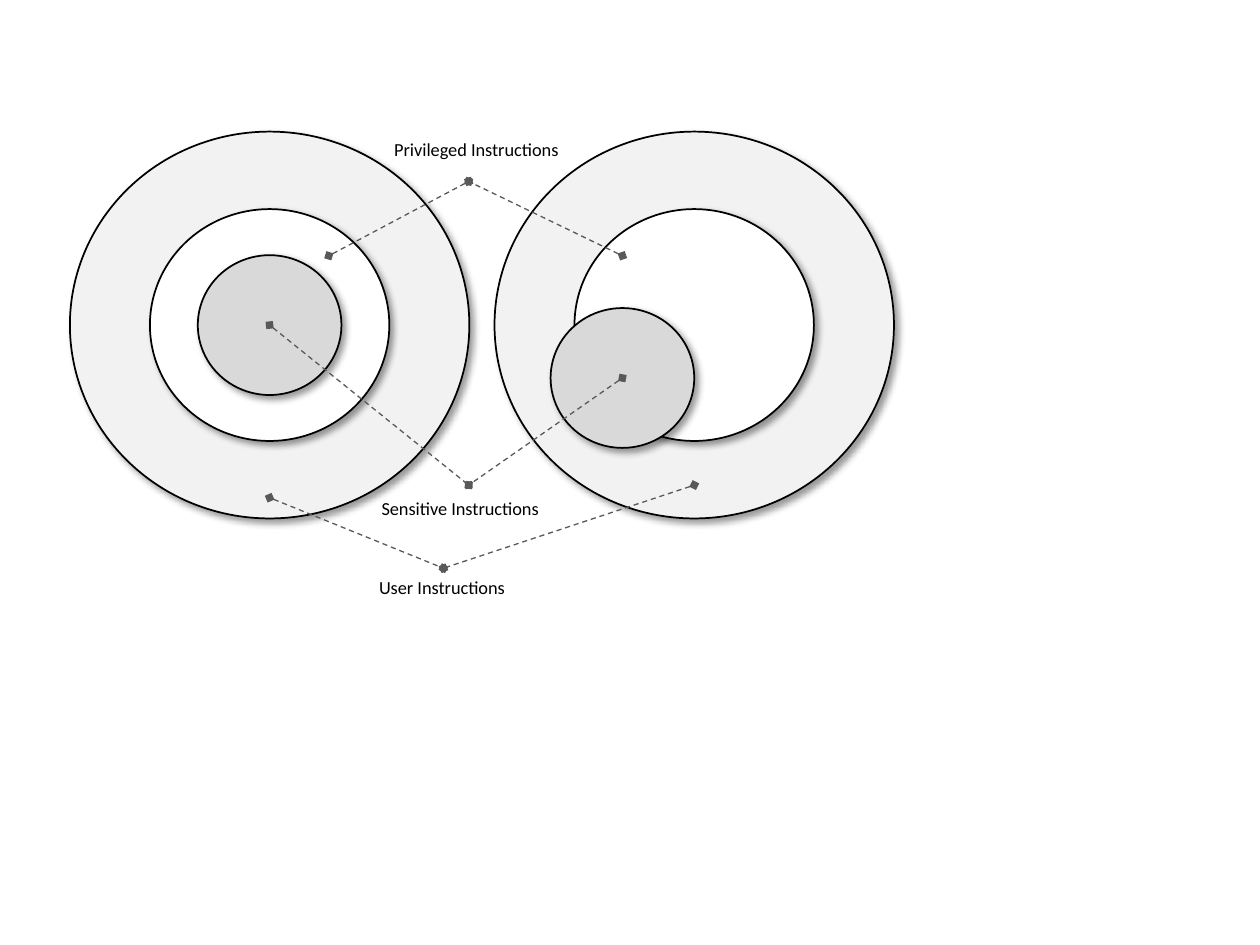
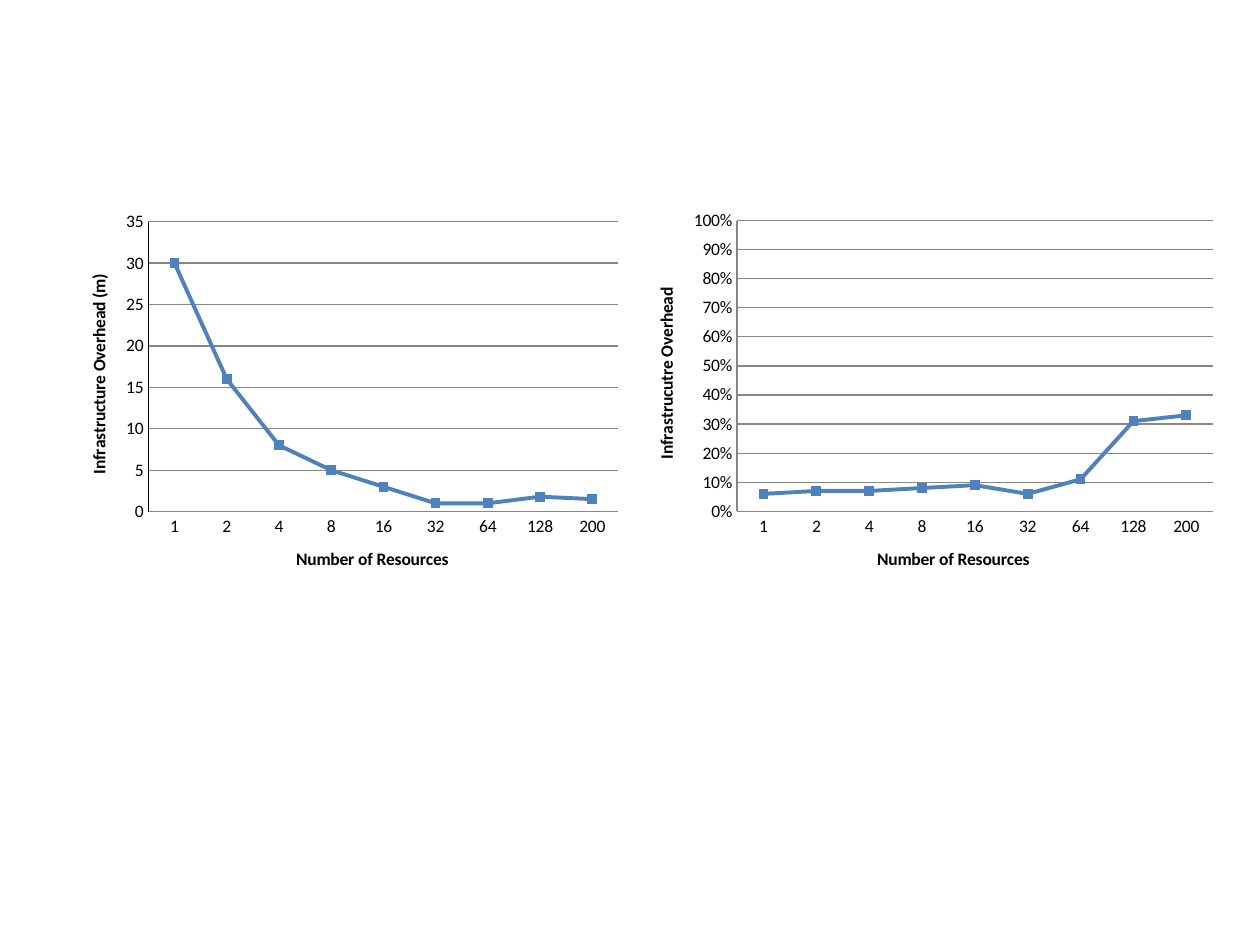
"""Instruction set diagram and infrastructure overhead charts."""
from lxml import etree
from pptx import Presentation
from pptx.chart.data import CategoryChartData
from pptx.dml.color import RGBColor
from pptx.enum import chart as ch, dml, shapes, text
from pptx.oxml import parse_xml
from pptx.oxml.ns import nsdecls, qn
from pptx.util import Inches, Pt

BLACK = RGBColor(0x00, 0x00, 0x00)
WHITE = RGBColor(0xFF, 0xFF, 0xFF)
PALE = RGBColor(0xF2, 0xF2, 0xF2)
GREY = RGBColor(0xD9, 0xD9, 0xD9)
DARK = RGBColor(0x59, 0x59, 0x59)
AXIS = RGBColor(0x86, 0x86, 0x86)
BLUE = RGBColor(0x4F, 0x81, 0xBD)
FONT = "Calibri"

SHADOW = (
    f'<a:effectLst {nsdecls("a")}>'
    f'<a:outerShdw blurRad="{Pt(4)}" dist="{Pt(3)}" dir="2700000" algn="tl" rotWithShape="0">'
    '<a:srgbClr val="000000"><a:alpha val="40000"/></a:srgbClr>'
    '</a:outerShdw></a:effectLst>'
)

prs = Presentation()
prs.slide_width, prs.slide_height = Inches(10), Inches(7.5)
blank = prs.slide_layouts[6]

s = prs.slides.add_slide(blank)
LEFT_X, RIGHT_X, MID_Y = 2.14, 5.51, 2.58
USER = (3.17, 3.07, PALE)
PRIVILEGED = (1.9, 1.84, WHITE)
SENSITIVE = (1.14, 1.11, GREY)
circles = [
    (LEFT_X, MID_Y, USER), (LEFT_X, MID_Y, PRIVILEGED), (LEFT_X, MID_Y, SENSITIVE),
    (RIGHT_X, MID_Y, USER), (RIGHT_X, MID_Y, PRIVILEGED), (4.94, 3, SENSITIVE),
]
for x, y, (w, h, color) in circles:
    sp = s.shapes.add_shape(shapes.MSO_SHAPE.OVAL, Inches(x - w / 2), Inches(y - h / 2),
                            Inches(w), Inches(h))
    sp.fill.solid()
    sp.fill.fore_color.rgb = color
    sp.line.color.rgb = BLACK
    sp.line.width = Pt(1)
    sp._element.spPr.append(parse_xml(SHADOW))

callouts = [
    ("User Instructions", 2.91, 4.52, 1.22, (3.52, 4.51), [(LEFT_X, 3.95), (RIGHT_X, 3.85)]),
    ("Sensitive Instructions", 2.93, 3.9, 1.47, (3.72, 3.85), [(LEFT_X, MID_Y), (4.94, 3)]),
    ("Privileged Instructions", 3.03, 1.05, 1.53, (3.72, 1.44), [(2.61, 2.03), (4.94, 2.03)]),
]
for label, x, y, w, joint, targets in callouts:
    for target in targets:
        c = s.shapes.add_connector(shapes.MSO_CONNECTOR.STRAIGHT,
                                   *[Inches(v) for v in target + joint])
        c.line.color.rgb = DARK
        c.line.width = Pt(0.75)
        c.line.dash_style = dml.MSO_LINE.DASH
        ln = c.line._get_or_add_ln()
        for end in ("a:headEnd", "a:tailEnd"):
            etree.SubElement(ln, qn(end), type="diamond")
        etree.SubElement(c._element.spPr, qn("a:effectLst"))
    tf = s.shapes.add_textbox(Inches(x), Inches(y), Inches(w), Inches(0.28)).text_frame
    tf.word_wrap = False
    tf.auto_size = text.MSO_AUTO_SIZE.SHAPE_TO_FIT_TEXT
    r = tf.paragraphs[0].add_run()
    r.text = label
    r.font.name, r.font.size = FONT, Pt(10.5)
    r.font.color.rgb = BLACK

s = prs.slides.add_slide(blank)
RESOURCES = ["1", "2", "4", "8", "16", "32", "64", "128", "200"]
charts = [
    ("Infrastrucutre Overhead", (5, 1.61, 4.72, 3.12), (0.18, 0.8), 1, 0.1, "0%", AXIS,
     [0.06, 0.07, 0.07, 0.08, 0.09, 0.06, 0.11, 0.31, 0.33]),
    ("Infrastructure Overhead (m)", (0.45, 1.62, 4.55, 3.11), (0.16, 0.82), 35, 5, "General", BLACK,
     [30, 16, 8, 5, 3, 1, 1, 1.8, 1.5]),
]
for title, box, (plot_x, plot_w), top, step, fmt, axis_color, values in charts:
    data = CategoryChartData()
    data.categories = RESOURCES
    data.add_series("Series 1", values)
    chart = s.shapes.add_chart(ch.XL_CHART_TYPE.LINE_MARKERS,
                               *[Inches(v) for v in box], data).chart
    chart.has_legend = chart.has_title = False
    chart.font.name, chart.font.size = FONT, Pt(10)
    chart.font.color.rgb = BLACK
    chart.plots[0].vary_by_categories = False

    val, cat = chart.value_axis, chart.category_axis
    for axis, name, color in ((val, title, axis_color), (cat, "Number of Resources", AXIS)):
        axis.major_tick_mark = axis.minor_tick_mark = ch.XL_TICK_MARK.NONE
        axis.format.line.color.rgb = color
        axis.format.line.width = Pt(0.75)
        r = axis.axis_title.text_frame.paragraphs[0].add_run()
        r.text = name
        r.font.name, r.font.size, r.font.bold = FONT, Pt(10), True
        r.font.color.rgb = BLACK
    val.minimum_scale, val.maximum_scale, val.major_unit = 0, top, step
    val.tick_labels.number_format = fmt
    val.tick_labels.number_format_is_linked = False
    val.has_major_gridlines = True
    val.major_gridlines.format.line.color.rgb = AXIS
    val.major_gridlines.format.line.width = Pt(0.75)

    line = chart.plots[0].series[0]
    line.smooth = False
    line.format.line.color.rgb = BLUE
    line.format.line.width = Pt(2.25)
    line.marker.style, line.marker.size = ch.XL_MARKER_STYLE.SQUARE, 5
    line.marker.format.fill.solid()
    line.marker.format.fill.fore_color.rgb = BLUE
    line.marker.format.line.color.rgb = BLUE

    area = chart._chartSpace.chart.plotArea
    for old in area.findall(qn("c:layout")):
        area.remove(old)
    layout = etree.Element(qn("c:layout"))
    manual = etree.SubElement(layout, qn("c:manualLayout"))
    for tag, v in (("layoutTarget", "inner"), ("xMode", "edge"), ("yMode", "edge"),
                   ("x", plot_x), ("y", 0.045), ("w", plot_w), ("h", 0.74)):
        etree.SubElement(manual, qn(f"c:{tag}"), val=str(v))
    area.insert(0, layout)

prs.save("out.pptx")
